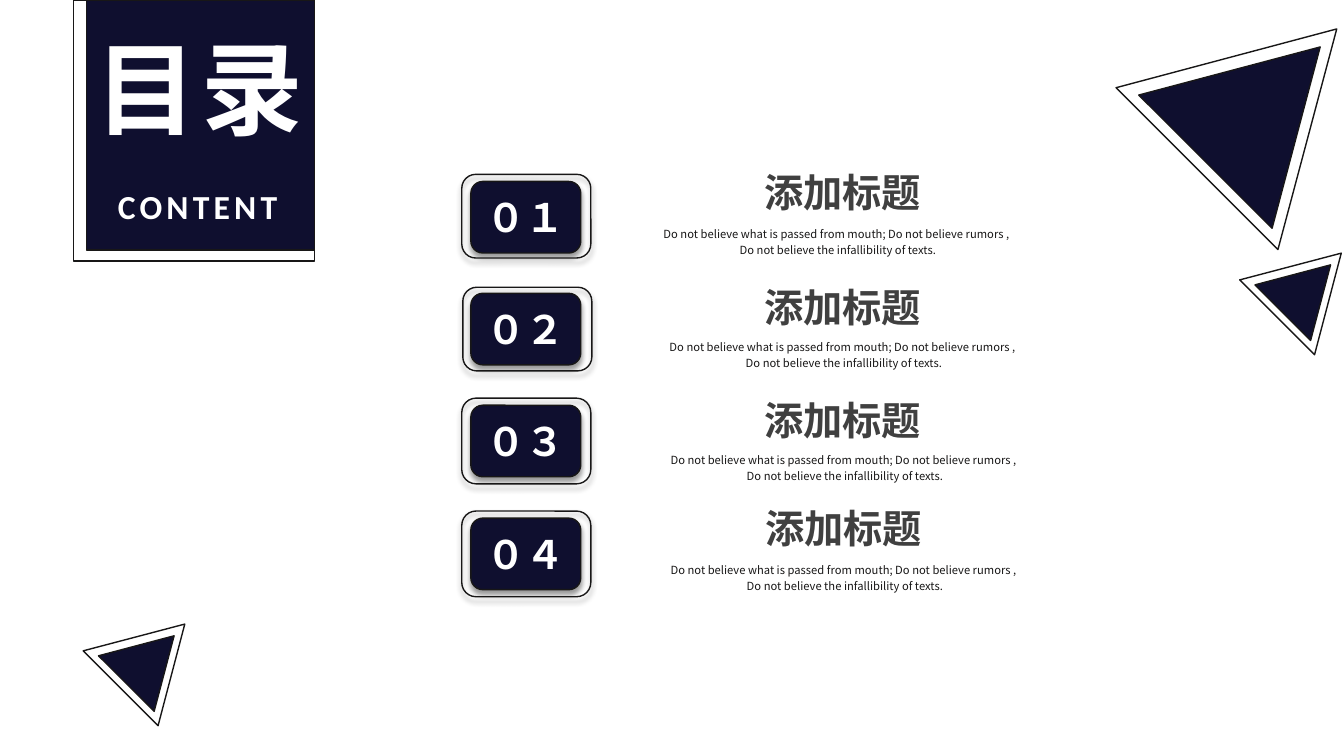
"""Build the table-of-contents slide with four numbered entries."""
from dataclasses import dataclass

from lxml import etree
from pptx import Presentation
from pptx.dml.color import RGBColor
from pptx.enum import shapes, text
from pptx.oxml import ns
from pptx.util import Inches, Pt

COLORS = {"navy": "0F0F2F", "ink": "181717", "heading": "404040", "white": "FFFFFF", "shadow": "000000"}
CJK_FONT = "Noto Sans CJK SC"
LATIN_FONT = "Calibri"
DESCRIPTION = (
    "Do not believe what is passed from mouth; Do not believe rumors ,",
    " Do not believe the infallibility of texts.",
)


@dataclass(frozen=True)
class Box:
    """Hold a rectangle in inches."""
    left: float
    top: float
    width: float
    height: float

    def lengths(self) -> tuple:
        """Return the rectangle as lengths."""
        return tuple(Inches(value) for value in (self.left, self.top, self.width, self.height))


@dataclass(frozen=True)
class Style:
    """Describe the look of a run."""
    size: float
    color: str
    bold: bool = True
    font: str = CJK_FONT
    spacing: int = 0


@dataclass(frozen=True)
class Entry:
    """Describe one line of the contents."""
    number: str
    card_top: float
    frame: Box
    heading_left: float
    heading_top: float
    description_left: float
    description_top: float


@dataclass(frozen=True)
class TrianglePair:
    """Describe an outlined triangle around a filled one."""
    outer: Box
    inner: Box


TITLE_STYLE = Style(72.6, "white", spacing=300)
SUBTITLE_STYLE = Style(24, "white", font=LATIN_FONT, spacing=300)
NUMBER_STYLE = Style(28, "white")
HEADING_STYLE = Style(28, "heading")
DESCRIPTION_STYLE = Style(8, "ink", bold=False)

ENTRIES = (
    Entry("０１", 1.8, Box(4.58, 1.73, 1.28, 0.83), 7.47, 1.62, 6, 2.18),
    Entry("０２", 2.91, Box(4.59, 2.85, 1.28, 0.83), 7.47, 2.76, 6.06, 3.3),
    Entry("０３", 4.02, Box(4.58, 3.95, 1.28, 0.85), 7.47, 3.88, 6.07, 4.42),
    Entry("０４", 5.14, Box(4.58, 5.07, 1.28, 0.85), 7.48, 4.95, 6.07, 5.51),
)


def small_triangles(left: float, top: float) -> TrianglePair:
    """Return a small pair whose outer triangle starts at the given corner."""
    return TrianglePair(Box(left, top, 1.05, 0.9), Box(left + 0.11, top + 0.15, 0.78, 0.67))


TRIANGLES = (
    TrianglePair(Box(11.43, 0, 2.27, 1.96), Box(11.59, 0.23, 1.87, 1.61)),
    small_triangles(12.46, 2.38),
    small_triangles(0.99, 6.06),
)


def rgb(name: str) -> RGBColor:
    """Return a named colour."""
    return RGBColor.from_string(COLORS[name])


def add_run(paragraph, content: str, style: Style) -> None:
    """Add a centred, styled run to a paragraph."""
    paragraph.alignment = text.PP_ALIGN.CENTER
    run = paragraph.add_run()
    run.text = content
    run.font.size = Pt(style.size)
    run.font.bold = style.bold
    run.font.color.rgb = rgb(style.color)
    run.font.name = style.font
    properties = run._r.get_or_add_rPr()
    etree.SubElement(properties, ns.qn("a:ea"), typeface=style.font)
    if style.spacing:
        properties.set("spc", str(style.spacing))


def add_text(slide, box: Box, lines: tuple, style: Style, wrap: bool = False, line_spacing: float = 1.0) -> None:
    """Add a text box with one paragraph per line."""
    shape = slide.shapes.add_textbox(*box.lengths())
    frame = shape.text_frame
    frame.word_wrap = wrap
    frame.auto_size = text.MSO_AUTO_SIZE.SHAPE_TO_FIT_TEXT
    for index, line in enumerate(lines):
        paragraph = frame.add_paragraph() if index else frame.paragraphs[0]
        paragraph.line_spacing = line_spacing
        add_run(paragraph, line, style)


def add_outlined(slide, kind, box: Box, filled: bool = False, rotation: float = 0):
    """Add a thinly outlined shape, optionally filled navy."""
    shape = slide.shapes.add_shape(kind, *box.lengths())
    shape.shadow.inherit = False
    shape.rotation = rotation
    if filled:
        shape.fill.solid()
        shape.fill.fore_color.rgb = rgb("navy")
    else:
        shape.fill.background()
    shape.line.color.rgb = rgb("ink")
    shape.line.width = Pt(1)
    return shape


def add_shadow(shape) -> None:
    """Give a shape a soft shadow below it."""
    effects = shape.element.spPr.find(ns.qn("a:effectLst"))
    shadow = etree.SubElement(
        effects, ns.qn("a:outerShdw"), blurRad=str(Pt(4)), dist=str(Pt(3)),
        dir="5400000", algn="t", rotWithShape="0",
    )
    color = etree.SubElement(shadow, ns.qn("a:srgbClr"), val=COLORS["shadow"])
    etree.SubElement(color, ns.qn("a:alpha"), val="40000")


def add_title_block(slide) -> None:
    """Draw the navy block with the title and its subtitle."""
    add_outlined(slide, shapes.MSO_SHAPE.RECTANGLE, Box(0.86, 0, 2.26, 2.48), filled=True)
    add_outlined(slide, shapes.MSO_SHAPE.RECTANGLE, Box(0.73, 0, 2.39, 2.59))
    title = slide.shapes.title
    title.left, title.top, title.width, title.height = Box(0.34, 0.01, 3.27, 1.7).lengths()
    frame = title.text_frame
    frame.auto_size = text.MSO_AUTO_SIZE.NONE
    frame.vertical_anchor = text.MSO_ANCHOR.MIDDLE
    add_run(frame.paragraphs[0], "目录", TITLE_STYLE)
    title.element.getparent().append(title.element)
    add_text(slide, Box(0.86, 1.8, 2.2, 0.47), ("CONTENT",), SUBTITLE_STYLE, wrap=True)


def add_entry(slide, entry: Entry) -> None:
    """Draw a numbered card with its heading and description."""
    rounded = shapes.MSO_SHAPE.ROUNDED_RECTANGLE
    card = add_outlined(slide, rounded, Box(4.67, entry.card_top, 1.09, 0.71), filled=True)
    card.text_frame.vertical_anchor = text.MSO_ANCHOR.MIDDLE
    add_run(card.text_frame.paragraphs[0], entry.number, NUMBER_STYLE)
    frame = add_outlined(slide, rounded, entry.frame)
    for shape in (card, frame):
        add_shadow(shape)
    heading_box = Box(entry.heading_left, entry.heading_top, 1.77, 0.57)
    add_text(slide, heading_box, ("添加标题",), HEADING_STYLE)
    description_box = Box(entry.description_left, entry.description_top, 4.6, 0.41)
    add_text(slide, description_box, DESCRIPTION, DESCRIPTION_STYLE, wrap=True, line_spacing=1.2)


def main() -> None:
    """Build and save the presentation."""
    presentation = Presentation()
    presentation.slide_width, presentation.slide_height = Inches(13.33), Inches(7.5)
    slide = presentation.slides.add_slide(presentation.slide_layouts[5])
    add_title_block(slide)
    for entry in ENTRIES:
        add_entry(slide, entry)
    for pair in TRIANGLES:
        add_outlined(slide, shapes.MSO_SHAPE.ISOSCELES_TRIANGLE, pair.inner, filled=True, rotation=45)
        add_outlined(slide, shapes.MSO_SHAPE.ISOSCELES_TRIANGLE, pair.outer, rotation=45)
    presentation.save("out.pptx")


if __name__ == "__main__":
    main()
